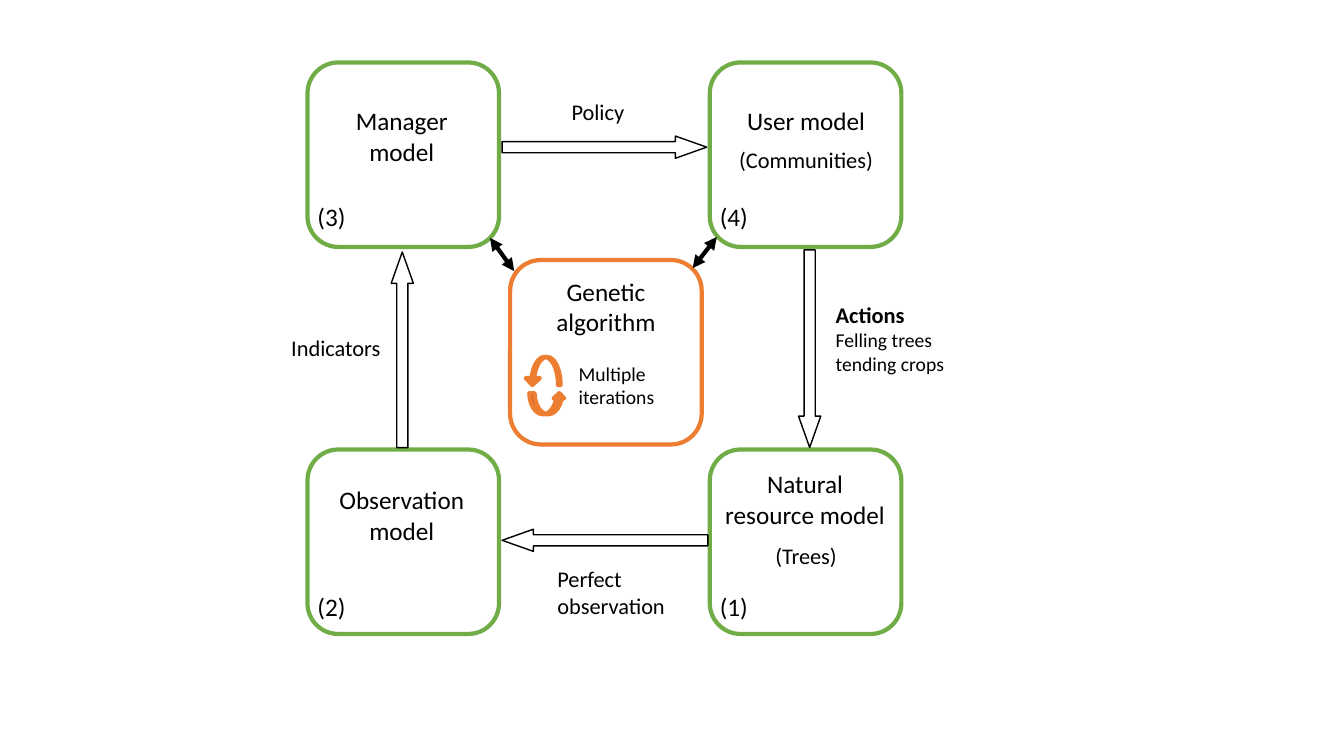
import pptx
import pptx.dml.color
import pptx.enum.shapes
import pptx.enum.text
import pptx.oxml
import pptx.oxml.ns
import pptx.util

RGBColor = pptx.dml.color.RGBColor
SHAPES = pptx.enum.shapes.MSO_SHAPE
ALIGN = pptx.enum.text.PP_ALIGN

GREEN = RGBColor(0x70, 0xAD, 0x47)
ORANGE = RGBColor(0xED, 0x7D, 0x31)
BLACK = RGBColor(0, 0, 0)

FONT = "Calibri"
EMU_PER_PX = 9144  # 100 px to the inch
BOX_SIZE = (190, 183)
LEFT, RIGHT = 305, 704
TOP, BOTTOM = 62, 446


def px(length):
    return pptx.util.Emu(length * EMU_PER_PX)


def add_text(slide, text, left, top, width, height, size=18, centered=False,
             bold_heading=None):
    """Add a wrapped text box, with an optional larger bold heading line."""
    text_box = slide.shapes.add_textbox(px(left), px(top), px(width), px(height))
    frame = text_box.text_frame
    frame.word_wrap = True
    frame.auto_size = pptx.enum.text.MSO_AUTO_SIZE.SHAPE_TO_FIT_TEXT
    lines = [(text, size, False)]
    if bold_heading:
        lines.insert(0, (bold_heading, size + 2, True))
    for index, (content, points, bold) in enumerate(lines):
        paragraph = frame.add_paragraph() if index else frame.paragraphs[0]
        paragraph.alignment = ALIGN.CENTER if centered else ALIGN.LEFT
        run = paragraph.add_run()
        run.text = content
        run.font.name = FONT
        run.font.size = pptx.util.Pt(points)
        run.font.bold = bold
        run.font.color.rgb = BLACK


def add_outline(slide, kind, left, top, width, height, color, line_width=3,
                fill=None, rotation=0, adjustments=()):
    """Add a preset shape with a coloured outline."""
    shape = slide.shapes.add_shape(kind, px(left), px(top), px(width), px(height))
    shape.shadow.inherit = False
    shape.rotation = rotation
    for index, value in enumerate(adjustments):
        shape.adjustments[index] = value
    if fill is None:
        shape.fill.background()
    else:
        shape.fill.solid()
        shape.fill.fore_color.rgb = fill
    shape.line.color.rgb = color
    shape.line.width = pptx.util.Pt(line_width)


def add_model_box(slide, left, top, color):
    add_outline(slide, SHAPES.ROUNDED_RECTANGLE, left, top, *BOX_SIZE, color)


def add_flow_arrow(slide, left, top, length, rotation):
    """Add a hollow block arrow; the place is that before rotation."""
    add_outline(slide, SHAPES.RIGHT_ARROW, left, top, length, 22, BLACK,
                line_width=1, rotation=rotation, adjustments=(0.5, 1.41))


def add_double_arrow(slide, start_x, start_y, end_x, end_y):
    connector = slide.shapes.add_connector(
        pptx.enum.shapes.MSO_CONNECTOR.STRAIGHT,
        px(start_x), px(start_y), px(end_x), px(end_y))
    connector.line.color.rgb = BLACK
    connector.line.width = pptx.util.Pt(3)
    line = connector.line._get_or_add_ln()
    for end in ("headEnd", "tailEnd"):
        line.append(pptx.oxml.parse_xml(
            f'<a:{end} {pptx.oxml.ns.nsdecls("a")} type="triangle"/>'))
    connector._element.spPr.append(pptx.oxml.parse_xml(
        f'<a:effectLst {pptx.oxml.ns.nsdecls("a")}/>'))


def add_genetic_algorithm(slide):
    add_model_box(slide, 506, 258, ORANGE)
    add_text(slide, "Genetic algorithm", 532, 269, 138, 71, centered=True)
    add_text(slide, "Multiple iterations", 564, 354, 121, 57, size=14)
    # Pair of curved arrows forming a cycle
    add_outline(slide, SHAPES.CURVED_UP_ARROW, 525, 390, 35, 21, ORANGE, fill=ORANGE)
    add_outline(slide, SHAPES.CURVED_UP_ARROW, 521, 354, 35, 28, ORANGE, fill=ORANGE,
                rotation=180, adjustments=(0.09, 0.5, 0.25))


def add_models(slide):
    # Boxes at the four corners, each with its number
    for left, top, number_top, number in (
            (LEFT, TOP, 195, "(3)"), (RIGHT, TOP, 195, "(4)"),
            (LEFT, BOTTOM, 582, "(2)"), (RIGHT, BOTTOM, 582, "(1)")):
        add_model_box(slide, left, top, GREEN)
        add_text(slide, number, left, number_top, 55, 40)

    # Names and examples
    for name, left, top, width, height, size in (
            ("Manager model", 320, 100, 157, 71, 18),
            ("User model", 721, 100, 157, 40, 18),
            ("(Communities)", 721, 140, 157, 37, 16),
            ("Natural resource model", 707, 460, 183, 71, 18),
            ("(Trees)", 721, 533, 157, 37, 16),
            ("Observation model", 311, 476, 175, 71, 18)):
        add_text(slide, name, left, top, width, height, size=size, centered=True)


def add_flows(slide):
    # Links between the algorithm and the upper models
    add_double_arrow(slide, 486, 236, 510, 269)
    add_double_arrow(slide, 687, 266, 711, 235)

    # Clockwise cycle
    for left, top, length, rotation in (
            (498, 135, 203, 0), (705, 335, 196, 90),
            (498, 525, 204, 180), (302, 336, 194, 270)):
        add_flow_arrow(slide, left, top, length, rotation)

    # Flow labels
    add_text(slide, "Policy", 557, 92, 111, 37, size=16)
    add_text(slide, "Felling trees tending crops", 819, 294, 142, 84, size=14,
             bold_heading="Actions")
    add_text(slide, "Perfect observation", 543, 556, 158, 64, size=16)
    add_text(slide, "Indicators", 279, 327, 111, 37, size=16)


def main():
    presentation = pptx.Presentation()
    presentation.slide_width = px(1333)
    presentation.slide_height = px(750)
    slide = presentation.slides.add_slide(presentation.slide_layouts[6])
    add_genetic_algorithm(slide)
    add_models(slide)
    add_flows(slide)
    presentation.save("out.pptx")


if __name__ == "__main__":
    main()
